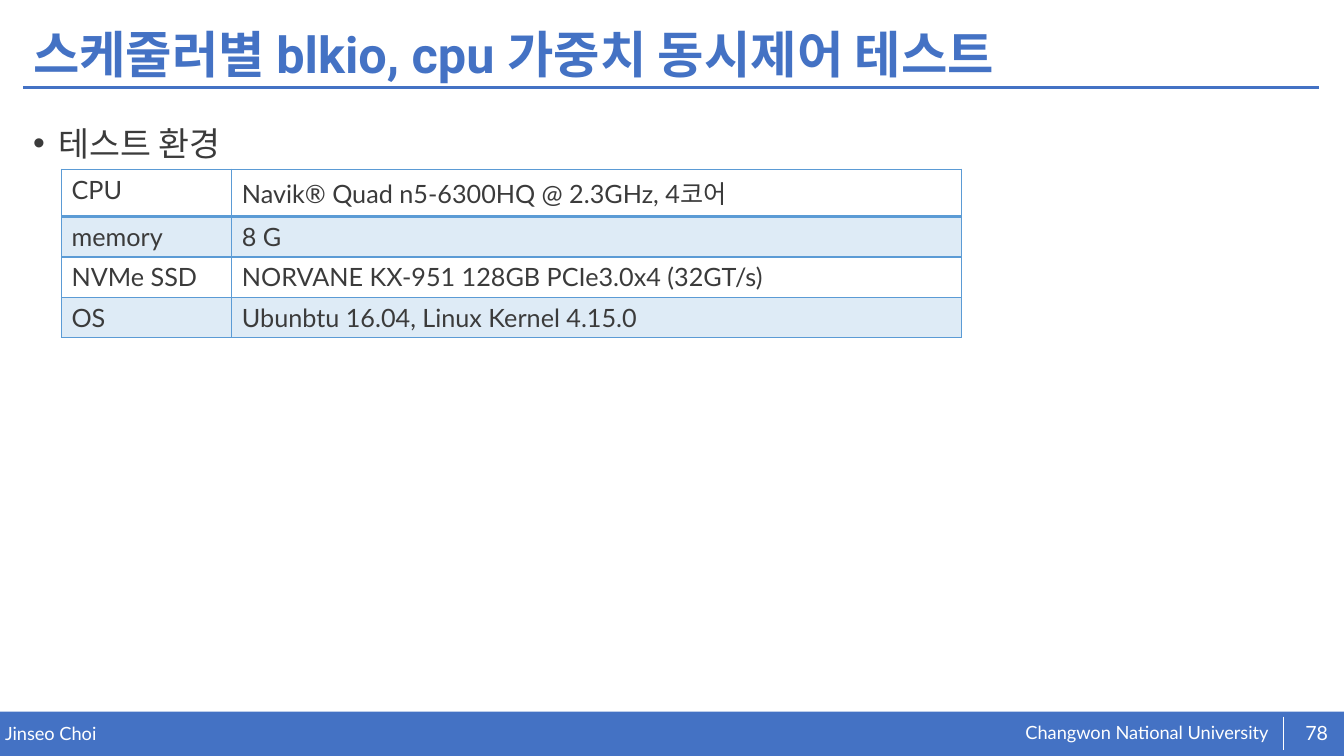
from dataclasses import dataclass

from lxml import etree
from pptx import Presentation
from pptx import util as u
from pptx.dml.color import RGBColor
from pptx.enum import shapes, text
from pptx.oxml import ns


@dataclass(frozen=True)
class Theme:
    blue: str = "4472C4"
    edge: str = "5B9BD5"
    ink: str = "3B3B3B"
    white: str = "FFFFFF"
    head: str = "Roboto"
    body: str = "Lato"
    title: int = 36
    point: int = 24
    grid: int = 18
    page: int = 14
    foot: int = 13


@dataclass(frozen=True)
class Label:
    words: str
    box: tuple[float, float, float, float]
    size: int
    color: str
    font: str = "Lato"
    bold: bool = False
    pad: bool = False
    mid: bool = False
    align: text.PP_ALIGN = text.PP_ALIGN.LEFT
    space: float = 1.0
    dot: bool = False


@dataclass(frozen=True)
class Rule:
    start: tuple[float, float]
    end: tuple[float, float]
    color: str
    width: float


T = Theme()
LABELS = [
    Label("Changwon National University", (10.13, 7.16, 2.45, 0.23), T.foot, T.white,
          align=text.PP_ALIGN.RIGHT),
    Label("Jinseo Choi", (0.05, 7.17, 6.55, 0.22), T.foot, T.white),
    Label("스케줄러별 blkio, cpu 가중치 동시제어 테스트", (0.23, 0.18, 12.86, 0.77),
          T.title, T.blue, T.head, bold=True, pad=True, mid=True, space=0.9),
    Label("테스트 환경", (0.23, 1.01, 12.86, 5.63), T.point, T.ink,
          pad=True, space=1.4, dot=True),
    Label("78", (12.82, 7.07, 0.48, 0.4), T.page, T.white, mid=True,
          align=text.PP_ALIGN.CENTER),
]
RULES = [
    Rule((0.23, 0.87), (13.08, 0.87), T.blue, 2),
    Rule((12.73, 7.11), (12.73, 7.44), T.white, 0.5),
]
ROWS = [
    ("CPU", "Navik® Quad n5-6300HQ @ 2.3GHz, 4코어"),
    ("memory", "8 G"),
    ("NVMe SSD", "NORVANE KX-951 128GB PCIe3.0x4 (32GT/s)"),
    ("OS", "Ubunbtu 16.04, Linux Kernel 4.15.0"),
]
WIDTHS = (1.69, 7.24)
HEIGHTS = (0.47, 0.4, 0.4, 0.4)


def add_run(para, words: str, size: int, color: str, font: str, bold: bool = False) -> None:
    run = para.add_run()
    run.text = words
    run.font.size = u.Pt(size)
    run.font.name = font
    run.font.bold = bold
    run.font.color.rgb = RGBColor.from_string(color)


def add_dot(para) -> None:
    props = para._p.get_or_add_pPr()
    props.set("marL", str(u.Inches(0.25)))
    props.set("indent", str(u.Inches(-0.25)))
    face = etree.SubElement(props, ns.qn("a:buFont"))
    face.set("typeface", "Arial")
    mark = etree.SubElement(props, ns.qn("a:buChar"))
    mark.set("char", "•")


def add_label(slide, label: Label) -> None:
    frame = slide.shapes.add_textbox(*map(u.Inches, label.box)).text_frame
    frame.word_wrap = True
    if not label.pad:
        frame.margin_left = frame.margin_right = 0
        frame.margin_top = frame.margin_bottom = 0
    if label.mid:
        frame.vertical_anchor = text.MSO_ANCHOR.MIDDLE
    para = frame.paragraphs[0]
    if label.dot:
        add_dot(para)
    para.alignment = label.align
    para.line_spacing = label.space
    add_run(para, label.words, label.size, label.color, label.font, label.bold)


def add_rule(slide, rule: Rule) -> None:
    ends = map(u.Inches, rule.start + rule.end)
    line = slide.shapes.add_connector(shapes.MSO_CONNECTOR.STRAIGHT, *ends)
    line.line.color.rgb = RGBColor.from_string(rule.color)
    line.line.width = u.Pt(rule.width)
    etree.SubElement(line._element.spPr, ns.qn("a:effectLst"))


def add_edge(cell, side: str, width: float) -> None:
    edge = etree.SubElement(cell._tc.get_or_add_tcPr(), ns.qn(f"a:ln{side}"))
    edge.set("w", str(u.Pt(width)))
    fill = etree.SubElement(edge, ns.qn("a:solidFill"))
    etree.SubElement(fill, ns.qn("a:srgbClr")).set("val", T.edge)


def add_tint(cell) -> None:
    cell.fill.solid()
    cell.fill.fore_color.rgb = RGBColor.from_string(T.edge)
    tone = cell._tc.tcPr.find(f"{ns.qn('a:solidFill')}/{ns.qn('a:srgbClr')}")
    etree.SubElement(tone, ns.qn("a:alpha")).set("val", "20000")


def add_grid(slide) -> None:
    box = (0.61, 1.68, sum(WIDTHS), sum(HEIGHTS))
    grid = slide.shapes.add_table(len(ROWS), len(WIDTHS), *map(u.Inches, box)).table
    for col, width in zip(grid.columns, WIDTHS):
        col.width = u.Inches(width)
    for r, (row, height) in enumerate(zip(ROWS, HEIGHTS)):
        grid.rows[r].height = u.Inches(height)
        for c, words in enumerate(row):
            cell = grid.cell(r, c)
            for side in "LRTB":
                thick = (r, side) in ((0, "B"), (1, "T"))
                add_edge(cell, side, 2 if thick else 1)
            if r % 2:
                add_tint(cell)
            else:
                cell.fill.background()
            add_run(cell.text_frame.paragraphs[0], words, T.grid, T.ink, T.body)


def add_band(slide) -> None:
    box = map(u.Inches, (0, 7.06, 13.33, 0.44))
    band = slide.shapes.add_shape(shapes.MSO_SHAPE.RECTANGLE, *box)
    band.shadow.inherit = False
    band.fill.solid()
    band.fill.fore_color.rgb = RGBColor.from_string(T.blue)
    band.line.fill.background()


def main() -> None:
    deck = Presentation()
    deck.slide_width, deck.slide_height = u.Inches(13.33), u.Inches(7.5)
    slide = deck.slides.add_slide(deck.slide_layouts[6])
    add_band(slide)
    for rule in RULES:
        add_rule(slide, rule)
    for label in LABELS:
        add_label(slide, label)
    add_grid(slide)
    deck.save("out.pptx")


if __name__ == "__main__":
    main()
